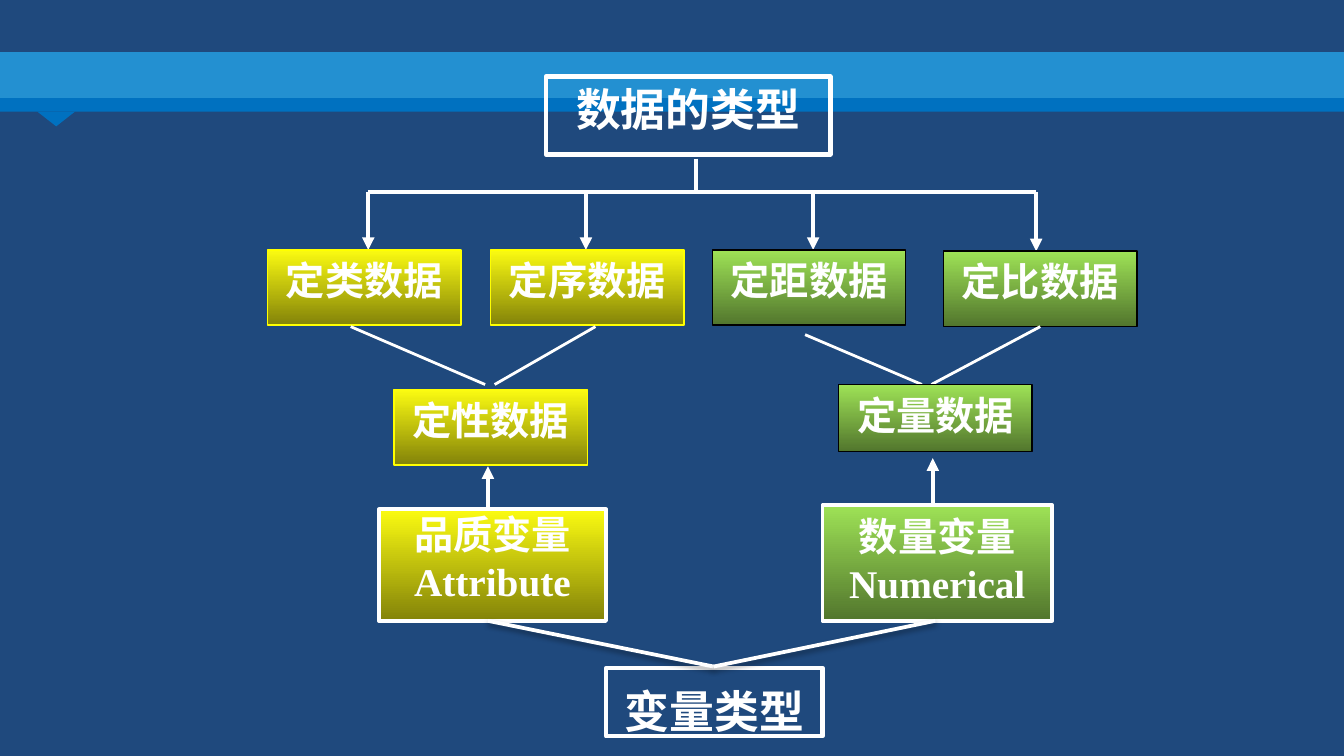
from itertools import pairwise

from lxml.etree import SubElement
from pptx import Presentation
from pptx.dml.color import RGBColor
from pptx.enum.shapes import MSO_CONNECTOR as Connector, MSO_SHAPE as Shape
from pptx.enum.text import MSO_ANCHOR as Anchor, PP_ALIGN as Align
from pptx.oxml.ns import qn
from pptx.util import Pt

COLORS = {
    "background": "1F497D", "band": "2390D1", "strip": "0071C0",
    "white": "FFFFFF", "black": "000000", "yellow": "FFFF00",
    "yellow_top": "FBFB11", "yellow_bottom": "838309",
    "green_top": "9EE256", "green_bottom": "52762D",
}
SANS, SERIF = "Noto Sans CJK SC", "Times New Roman"
YELLOW, GREEN = ("yellow_top", "yellow_bottom"), ("green_top", "green_bottom")

# Header decoration: preset, left, top, width, height, colour
HEADER = [
    (Shape.ISOSCELES_TRIANGLE, 20, 59.8, 20.2, 7.9, "strip"),
    (Shape.RECTANGLE, 0, 28, 720, 25, "band"),
    (Shape.RECTANGLE, 0, 52.6, 720, 7.2, "strip"),
]

# Data types: text, left, top, gradient, outline, x of the arrow above
DATA_TYPES = [
    ("定类数据", 143.3, 133.9, YELLOW, "yellow", 197.3),
    ("定序数据", 262.8, 133.9, YELLOW, "yellow", 313.9),
    ("定距数据", 381.6, 133.9, GREEN, "black", 435.6),
    ("定比数据", 505.4, 134.6, GREEN, "black", 555.1),
]
TYPE_W, TYPE_H = 103.7, 40.3

# Summary boxes: lines, left, top, width, height, gradient, outline, line width, top inset
SUMMARIES = [
    (["定性数据"], 211, 208.8, TYPE_W, TYPE_H, YELLOW, "yellow", 0.75, 3.6),
    (["定量数据"], 449.3, 206, TYPE_W, 36, GREEN, "black", 0.75, 3.6),
    (["品质变量", "Attribute"], 203, 272.9, 121.7, 59.8, YELLOW, "white", 2, 0.7),
    (["数量变量", "Numerical"], 440.6, 270.7, 123.1, 61.9, GREEN, "white", 2, 3.6),
]

# Outlined boxes: text, left, top, width, height, line spacing
FRAMES = [
    ("数据的类型", 292.3, 41, 152.6, 41.8, 1.0),
    ("变量类型", 324.7, 357.8, 115.9, 36.7, 1.2),
]

TRUNK_X, TRUNK_TOP, BUS_Y = 373, 85, 103
MERGES = [
    (187.9, 175, 259.9, 206), (265, 206, 319, 175),
    (431.3, 179.3, 493.9, 206), (499, 206, 557.3, 175),
]
RISERS = [(261.4, 294.5, 261.4, 249.8), (499.7, 270.7, 499.7, 245.5)]
ROOTS = [(382.3, 357.1, 261.4, 332.6), (382.3, 357.1, 501.1, 332.6)]

deck = Presentation()
deck.slide_width, deck.slide_height = Pt(720), Pt(405)
page = deck.slides.add_slide(deck.slide_layouts[6])


def rgb(name):
    return RGBColor.from_string(COLORS[name])


def add_block(preset, left, top, width, height):
    block = page.shapes.add_shape(preset, Pt(left), Pt(top), Pt(width), Pt(height))
    block.shadow.inherit = False
    return block


def add_box(lines, left, top, width, height, gradient, outline, weight,
            top_inset=3.6, side_inset=7.2, font=SERIF, size=21, spacing=1.0):
    box = add_block(Shape.RECTANGLE, left, top, width, height)
    if gradient:
        box.fill.gradient()
        box.fill.gradient_angle = 270
        for stop, color in zip(box.fill.gradient_stops, gradient):
            stop.color.rgb = rgb(color)
    else:
        box.fill.background()
    box.line.color.rgb = rgb(outline)
    box.line.width = Pt(weight)
    frame = box.text_frame
    frame.word_wrap = True
    frame.vertical_anchor = Anchor.TOP
    frame.margin_left = frame.margin_right = Pt(side_inset)
    frame.margin_top, frame.margin_bottom = Pt(top_inset), Pt(3.6)
    for index, text in enumerate(lines):
        para = frame.add_paragraph() if index else frame.paragraphs[0]
        para.alignment = Align.CENTER
        para.line_spacing = spacing
        span = para.add_run()
        span.text = text
        span.font.name, span.font.size, span.font.bold = font, Pt(size), True
        span.font.color.rgb = rgb("white")
        # East Asian typeface for the Chinese characters
        SubElement(span.font._element, qn("a:ea"), typeface=SANS)


def add_line(x1, y1, x2, y2, weight=2.25, arrow=False, shadow=False):
    line = page.shapes.add_connector(Connector.STRAIGHT, Pt(x1), Pt(y1), Pt(x2), Pt(y2))
    line.line.color.rgb = rgb("white")
    line.line.width = Pt(weight)
    if arrow:
        SubElement(line.line._get_or_add_ln(), qn("a:tailEnd"), type="triangle")
    effects = SubElement(line._element.spPr, qn("a:effectLst"))
    if shadow:
        outer = SubElement(effects, qn("a:outerShdw"), blurRad=str(Pt(3.1)),
                           dist=str(Pt(1.6)), dir="5400000", rotWithShape="0")
        tint = SubElement(outer, qn("a:srgbClr"), val=COLORS["black"])
        SubElement(tint, qn("a:alpha"), val="38000")


# Background and header
page.background.fill.solid()
page.background.fill.fore_color.rgb = rgb("background")
for preset, left, top, width, height, color in HEADER:
    block = add_block(preset, left, top, width, height)
    block.fill.solid()
    block.fill.fore_color.rgb = rgb(color)
    block.line.fill.background()
    if preset == Shape.ISOSCELES_TRIANGLE:
        block.rotation = 180

# Branches from the title to the four data types
add_line(TRUNK_X, TRUNK_TOP, TRUNK_X, BUS_Y)
drops = [kind[-1] for kind in DATA_TYPES]
for start, end in pairwise([drops[0], TRUNK_X, *drops[2:]]):
    add_line(start, BUS_Y, end, BUS_Y)
for text, left, top, gradient, outline, drop in DATA_TYPES:
    add_line(drop, BUS_Y, drop, top, arrow=True)
    add_box([text], left, top, TYPE_W, TYPE_H, gradient, outline, 0.75)

# Merging lines and arrows up from the variables
for ends in MERGES:
    add_line(*ends, weight=1.5)
for ends in RISERS:
    add_line(*ends, arrow=True)
for summary in SUMMARIES:
    add_box(*summary)

# Title and bottom boxes with the lines that join the variables
for text, left, top, width, height, spacing in FRAMES:
    add_box([text], left, top, width, height, None, "white", 2.25,
            top_inset=2.9, side_inset=5, font=SANS, size=24, spacing=spacing)
for ends in ROOTS:
    add_line(*ends, weight=2, shadow=True)

deck.save("out.pptx")
